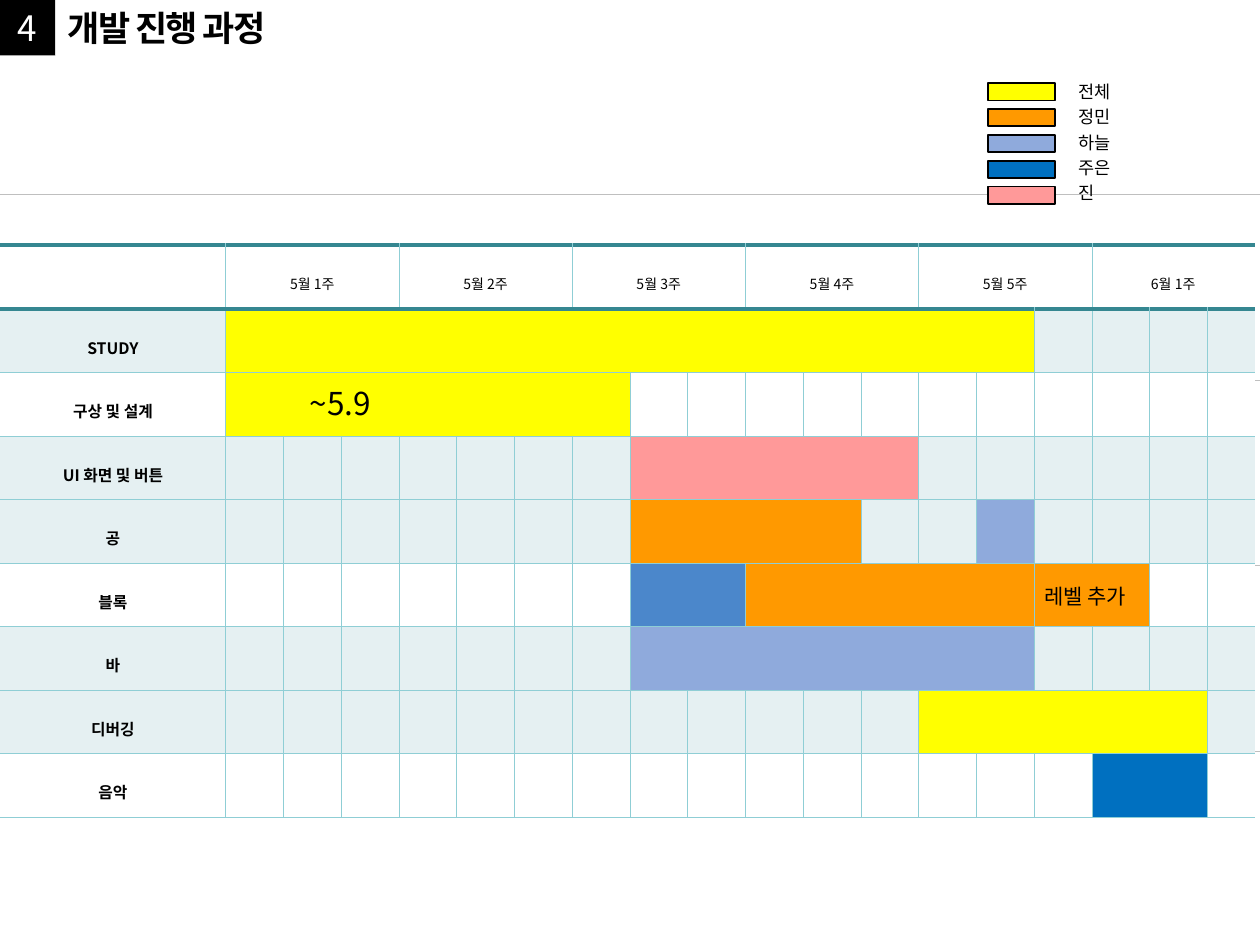
from dataclasses import dataclass
from itertools import groupby

from lxml import etree
from pptx import Presentation
from pptx import util as u
from pptx.dml.color import RGBColor
from pptx.enum import shapes, text
from pptx.oxml import ns

BLACK = RGBColor(0, 0, 0)
WHITE = RGBColor(255, 255, 255)
GREY = RGBColor(0xBF, 0xBF, 0xBF)
PALE = RGBColor(0xE5, 0xF0, 0xF2)
GRID = RGBColor(0x8F, 0xCE, 0xD5)
TEAL = RGBColor(0x35, 0x87, 0x91)
YELLOW = RGBColor(0xFF, 0xFF, 0x00)
ORANGE = RGBColor(0xFF, 0x99, 0x00)
LILAC = RGBColor(0x8F, 0xAA, 0xDC)
BLUE = RGBColor(0x00, 0x70, 0xC0)
MID_BLUE = RGBColor(0x4B, 0x87, 0xCB)
PINK = RGBColor(0xFF, 0x99, 0x99)
NOTO = "Noto Sans CJK KR"
THIN, THICK = (GRID, 0.28), (TEAL, 2.55)
COLUMNS = 19

WEEKS = ["5월 1주", "5월 2주", "5월 3주", "5월 4주", "5월 5주", "6월 1주"]
TASKS = [
    ("STUDY", PALE, [(1, 14, YELLOW)]),
    ("구상 및 설계", WHITE, [(1, 7, YELLOW)]),
    ("UI 화면 및 버튼", PALE, [(8, 5, PINK)]),
    ("공", PALE, [(8, 4, ORANGE), (14, 1, LILAC)]),
    ("블록", WHITE, [(8, 2, MID_BLUE), (10, 5, ORANGE), (15, 2, ORANGE)]),
    ("바", PALE, [(8, 7, LILAC)]),
    ("디버깅", PALE, [(13, 5, YELLOW)]),
    ("음악", WHITE, [(16, 2, BLUE)]),
]
LEGEND = [("전체", YELLOW), ("정민", ORANGE), ("하늘", LILAC), ("주은", BLUE), ("진", PINK)]


def write(frame, words, size=10, font=NOTO, color=BLACK, bold=False,
          align=None, spacing=None, tracking=None, hangul_font=None):
    """Write one paragraph, giving Hangul its own font when asked."""
    para = frame.paragraphs[0]
    para.alignment = align
    para.line_spacing = spacing
    pieces = [(font, words)]
    if hangul_font:
        pieces = [(font if digit else hangul_font, "".join(group))
                  for digit, group in groupby(words, str.isdigit)]
    for face, piece in pieces:
        span = para.add_run()
        span.text = piece
        span.font.name = face
        span.font.size = u.Pt(size)
        span.font.bold = bold
        span.font.color.rgb = color
        properties = span.font._element
        etree.SubElement(properties, ns.qn("a:ea"), typeface=NOTO)
        if tracking:
            properties.set("spc", str(tracking * 100))


@dataclass
class Gantt:
    """Draws the elements of the schedule slide."""
    page: object
    align: object = text.PP_ALIGN.CENTER

    def rule(self, y):
        """Draw a background line across the page."""
        line = self.page.shapes.add_connector(
            shapes.MSO_CONNECTOR.STRAIGHT, u.Pt(720), u.Pt(y), u.Pt(0), u.Pt(y))
        line.line.color.rgb = GREY
        line.line.width = u.Pt(0.25)
        etree.SubElement(line._element.spPr, ns.qn("a:effectLst"))

    def box(self, x, y, width, height, fill, outlined=False):
        """Draw a filled rectangle and return its text frame."""
        box = self.page.shapes.add_shape(
            shapes.MSO_SHAPE.RECTANGLE, *map(u.Pt, (x, y, width, height)))
        box.shadow.inherit = False
        box.fill.solid()
        box.fill.fore_color.rgb = fill
        if outlined:
            box.line.color.rgb = BLACK
            box.line.width = u.Pt(1)
        else:
            box.line.fill.background()
        box.text_frame.vertical_anchor = text.MSO_ANCHOR.MIDDLE
        return box.text_frame

    def label(self, words, x, y, width, height, size=10):
        """Place a wrapped text box."""
        frame = self.page.shapes.add_textbox(*map(u.Pt, (x, y, width, height))).text_frame
        frame.word_wrap = True
        write(frame, words, size)

    def cell(self, grid, row, start, length, fill, words=None, **style):
        """Fill, border and merge a run of cells."""
        end = start + length - 1
        top = THICK if row < 2 else THIN
        bottom = THICK if row == 0 else THIN
        for column in range(start, end + 1):
            item = grid.cell(row, column)
            item.fill.solid()
            item.fill.fore_color.rgb = fill
            item.margin_left = item.margin_right = u.Pt(5)
            item.margin_top = item.margin_bottom = u.Pt(1.4)
            item.vertical_anchor = text.MSO_ANCHOR.MIDDLE
            left = THIN if column == start > 0 else None
            right = THIN if column == end < COLUMNS - 1 else None
            self.borders(item, lnL=left, lnR=right, lnT=top, lnB=bottom)
        first = grid.cell(row, start)
        if length > 1:
            first.merge(grid.cell(row, end))
        if words:
            write(first.text_frame, words, align=self.align, spacing=1.6, **style)

    def borders(self, item, **sides):
        """Set each side of a cell to a colour and width, or to nothing."""
        properties = item._tc.get_or_add_tcPr()
        for index, (side, stroke) in enumerate(sides.items()):
            line = etree.Element(ns.qn("a:" + side))
            properties.insert(index, line)
            if stroke:
                color, width = stroke
                line.set("w", str(u.Pt(width)))
                solid = etree.SubElement(line, ns.qn("a:solidFill"))
                etree.SubElement(solid, ns.qn("a:srgbClr"), val=str(color))
            else:
                etree.SubElement(line, ns.qn("a:noFill"))

    def schedule(self):
        """Build the table of weeks and tasks."""
        rows = len(TASKS) + 1
        grid = self.page.shapes.add_table(
            rows, COLUMNS, u.Pt(0), u.Pt(140.2), u.Pt(717), u.Pt(36.3 * rows)).table
        grid.first_row = grid.horz_banding = False
        for column, width in zip(grid.columns, [129] + [33] * 17 + [27]):
            column.width = u.Pt(width)
        for row in grid.rows:
            row.height = u.Pt(36.3)
        self.cell(grid, 0, 0, 1, WHITE)
        for index, week in enumerate(WEEKS):
            self.cell(grid, 0, 1 + 3 * index, 3, WHITE, week, size=8, hangul_font="Calibri")
        for row, (task, shade, bars) in enumerate(TASKS, 1):
            self.cell(grid, row, 0, 1, shade, task, size=9, bold=True)
            busy = set()
            for start, length, color in bars:
                self.cell(grid, row, start, length, color)
                busy.update(range(start, start + length))
            for column in range(1, COLUMNS):
                if column not in busy:
                    self.cell(grid, row, column, 1, shade)


def main():
    """Build and save the schedule slide."""
    deck = Presentation()
    deck.slide_width, deck.slide_height = u.Pt(720), u.Pt(540)
    gantt = Gantt(deck.slides.add_slide(deck.slide_layouts[6]))
    for index in range(4):
        gantt.rule(110.9 + 106.1 * index)
    write(gantt.box(0, 0, 31.7, 31.7, BLACK), "4", 20, color=WHITE, align=gantt.align)
    write(gantt.box(31.7, 0, 277, 31.7, WHITE), "개발 진행 과정", 20, font="Arial",
          bold=True, align=text.PP_ALIGN.LEFT, tracking=-1)
    gantt.schedule()
    for index, (name, color) in enumerate(LEGEND):
        gantt.box(564.5, 47.4 + 14.8 * index, 38.5, 10, color, outlined=True)
        gantt.label(name, 609, 42.7 + 14.5 * index, 68.4, 25)
    gantt.label("~5.9", 170, 216, 105, 29, size=18)
    gantt.label("레벨 추가", 589.7, 329.8, 105, 21.8, size=12)
    deck.save("out.pptx")


if __name__ == "__main__":
    main()
